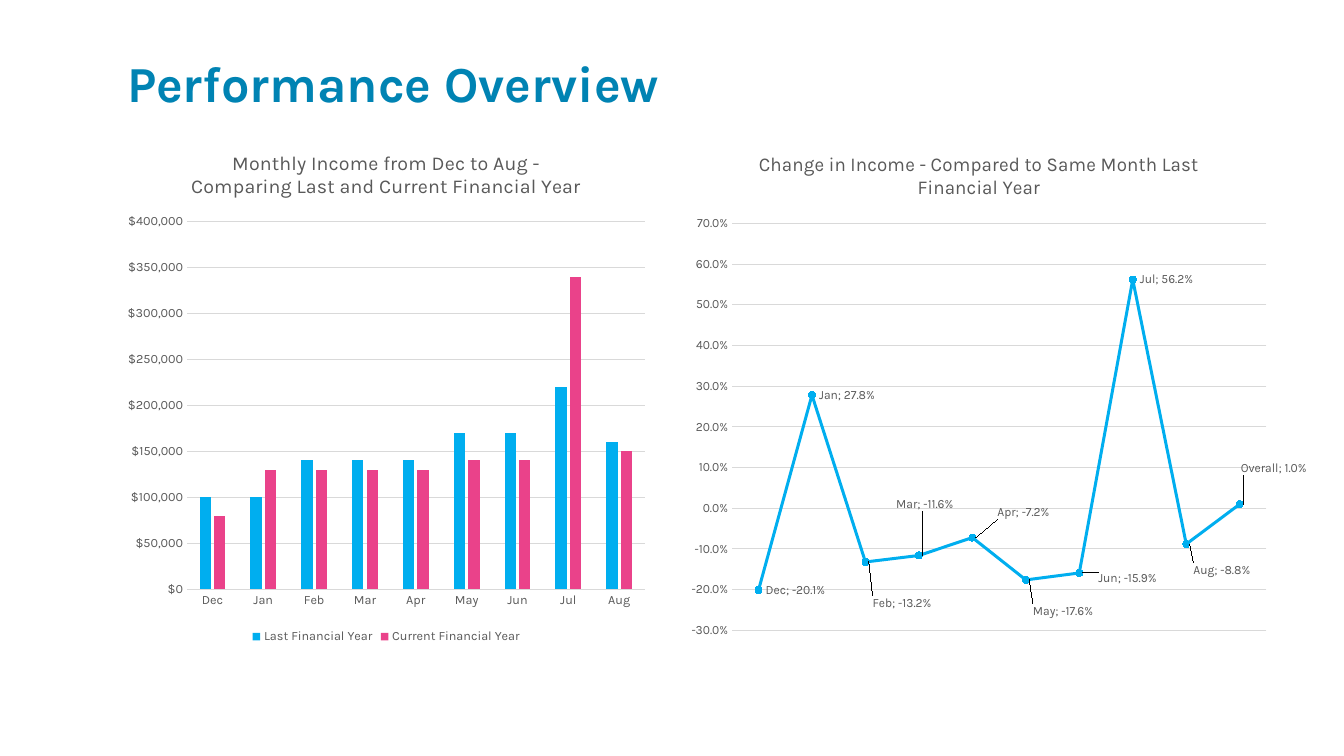
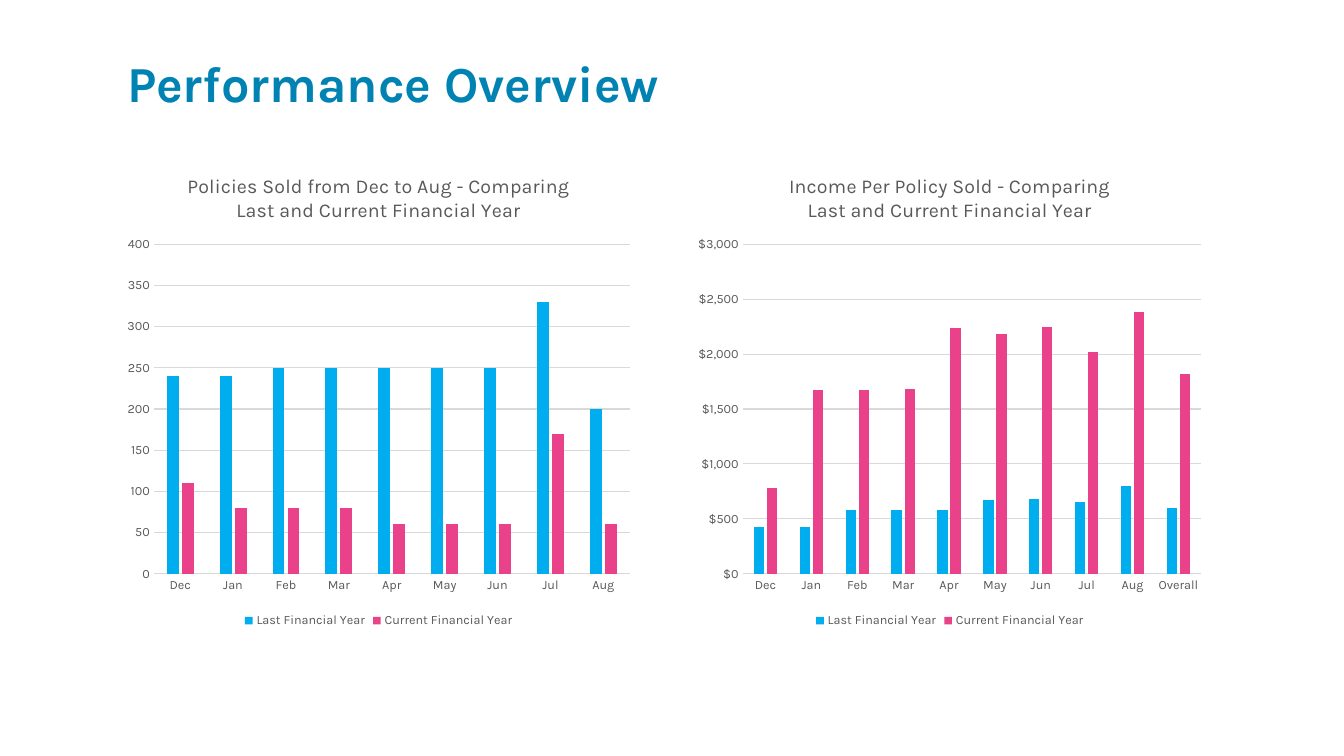
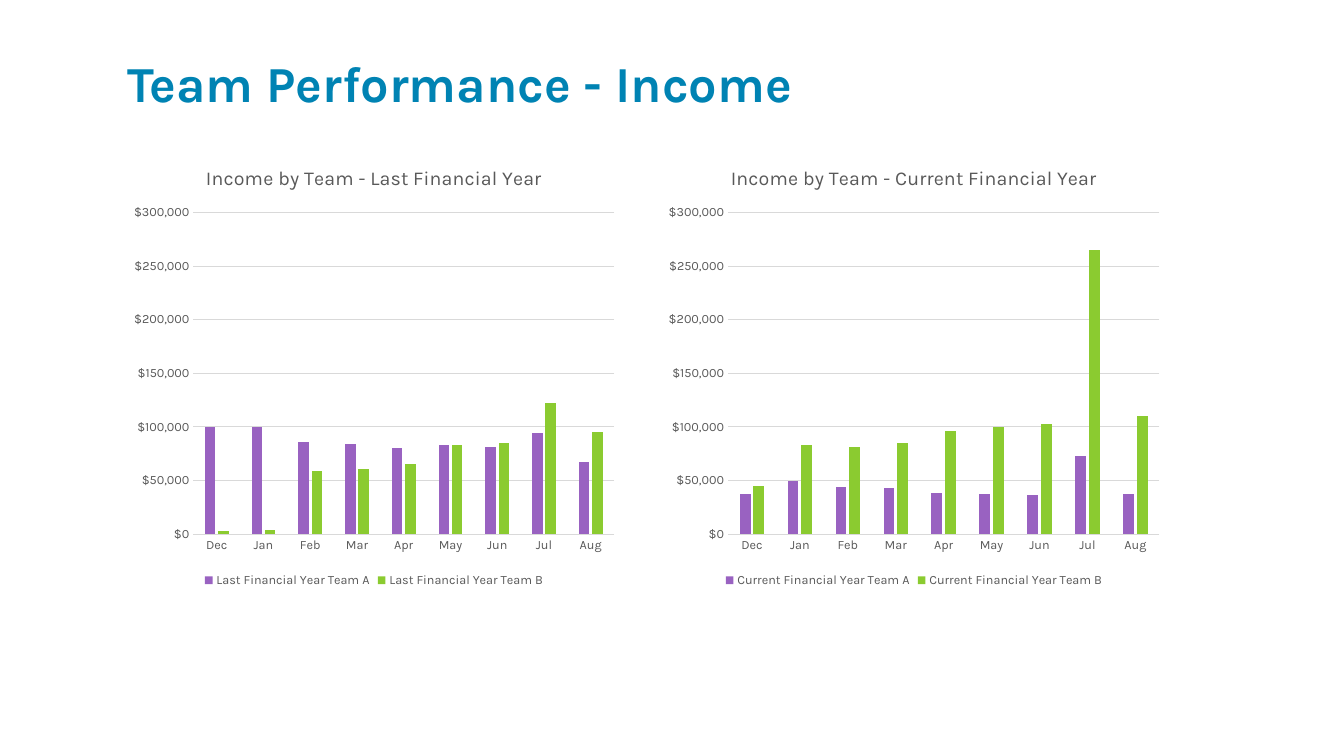
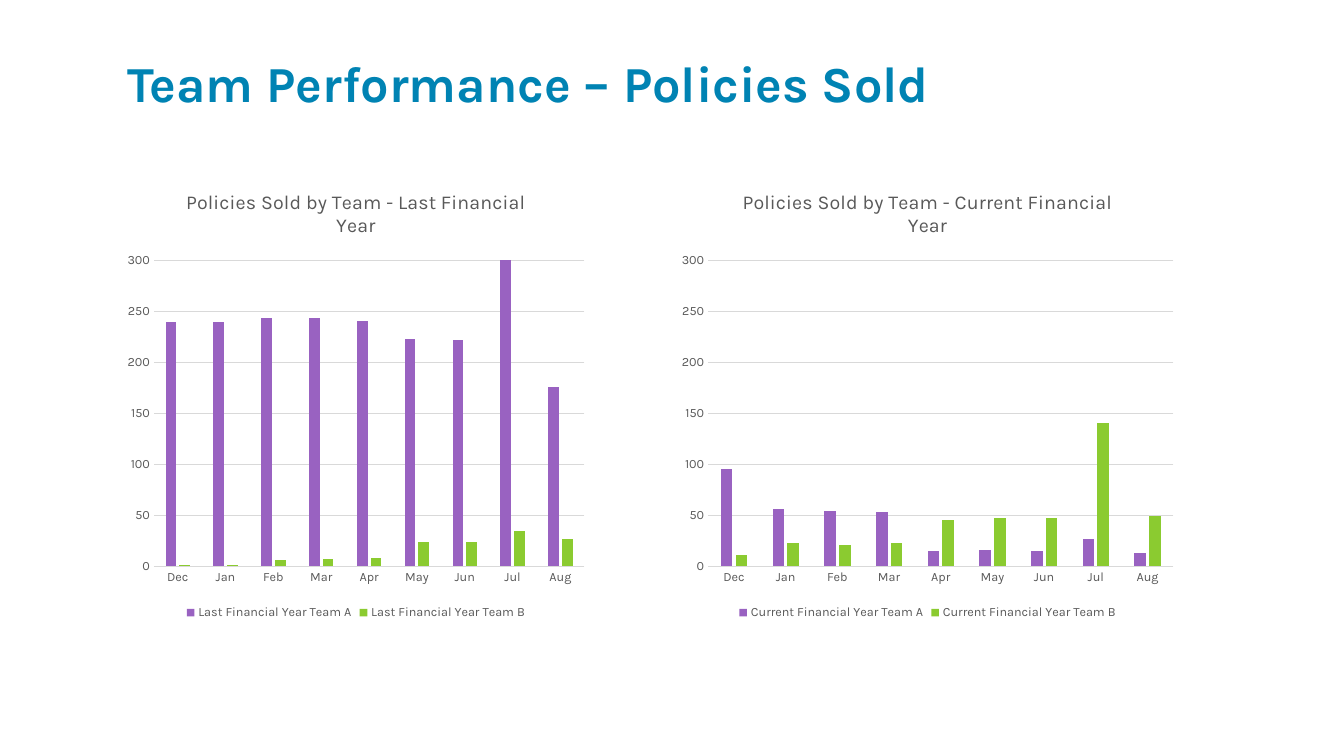
import pptx
import pptx.chart.data
import pptx.dml.color
import pptx.enum.chart
import pptx.enum.text
import pptx.oxml
import pptx.oxml.ns
import pptx.util

Inches, Pt = pptx.util.Inches, pptx.util.Pt
XL = pptx.enum.chart

# Shared style
FONT = "Karla"
COLORS = {
    "title": "0083B3",
    "text": "595959",
    "grid": "D9D9D9",
    "last": "00AEEF",
    "current": "EA428A",
    "team_a": "9962C1",
    "team_b": "8BCB30",
}
TITLE_BOX = (1.16, 0.58, 9.5, 0.73)
DOLLARS, COUNT, PERCENT = "[$$-4809]#,##0", "#,##0", "0.0%"

# Content
MONTHS = ["Dec", "Jan", "Feb", "Mar", "Apr", "May", "Jun", "Jul", "Aug"]
MONTHS_OVERALL = MONTHS + ["Overall"]
YEARS = [("Last Financial Year", "last"), ("Current Financial Year", "current")]
LAST_TEAMS, CURRENT_TEAMS = (
    [(f"{year} Team A", "team_a"), (f"{year} Team B", "team_b")] for year, _ in YEARS
)

# Label shifts by point, as fractions of the chart's width and height
LABEL_SHIFTS = {
    2: (0, 0.08), 3: (-0.05, -0.1), 4: (0.03, -0.05), 5: (0, 0.06),
    6: (0.02, 0.01), 8: (0, 0.05), 9: (-0.01, -0.07),
}

# scale is minimum, maximum, major unit
SLIDES = [
    ("Performance Overview", [
        dict(title="Monthly Income from Dec to Aug -\nComparing Last and Current Financial Year",
             box=(1.16, 1.31, 5.34, 5.12), months=MONTHS, series=YEARS,
             format=DOLLARS, scale=(0, 400000, 50000),
             values=[[100000, 100000, 140000, 140000, 140000, 170000, 170000, 220000, 160000],
                     [80000, 130000, 130000, 130000, 130000, 140000, 140000, 340000, 150000]]),
        dict(title="Change in Income - Compared to Same Month Last Financial Year",
             box=(6.74, 1.31, 6.22, 5.12), months=MONTHS_OVERALL, line=True,
             series=[("Change in Income - Compared to Same Month Last Financial Year", "last")],
             format=PERCENT, scale=(-0.3, 0.7, 0.1),
             values=[[-0.201, 0.278, -0.132, -0.116, -0.072, -0.176, -0.159, 0.562, -0.088, 0.01]]),
    ]),
    ("Performance Overview", [
        dict(title="Policies Sold from Dec to Aug - Comparing\nLast and Current Financial Year",
             box=(1.16, 1.55, 5.19, 4.72), months=MONTHS, series=YEARS,
             format="0", scale=(0, 400, 50),
             values=[[240, 240, 250, 250, 250, 250, 250, 330, 200],
                     [110, 80, 80, 80, 60, 60, 60, 170, 60]]),
        dict(title="Income Per Policy Sold - Comparing\nLast and Current Financial Year",
             box=(6.82, 1.55, 5.2, 4.72), months=MONTHS_OVERALL, series=YEARS,
             format=DOLLARS, scale=(0, 3000, 500),
             values=[[430, 430, 580, 580, 580, 670, 680, 650, 800, 600],
                     [780, 1670, 1670, 1680, 2240, 2180, 2250, 2020, 2380, 1820]]),
    ]),
    ("Team Performance - Income", [
        dict(title="Income by Team - Last Financial Year",
             box=(1.23, 1.46, 4.96, 4.41), months=MONTHS, series=LAST_TEAMS,
             format=DOLLARS, scale=(0, 300000, 50000),
             values=[[100000, 100000, 86000, 84000, 80000, 83000, 81000, 94000, 67000],
                     [3000, 4000, 59000, 61000, 65000, 83000, 85000, 122000, 95000]]),
        dict(title="Income by Team - Current Financial Year",
             box=(6.53, 1.46, 5.07, 4.41), months=MONTHS, series=CURRENT_TEAMS,
             format=DOLLARS, scale=(0, 300000, 50000),
             values=[[37000, 49000, 44000, 43000, 38000, 37000, 36000, 73000, 37000],
                     [45000, 83000, 81000, 85000, 96000, 100000, 103000, 265000, 110000]]),
    ]),
    ("Team Performance – Policies Sold", [
        dict(title="Policies Sold by Team - Last Financial Year",
             box=(1.17, 1.7, 4.72, 4.49), months=MONTHS, series=LAST_TEAMS,
             format=COUNT, scale=(0, 300, 50),
             values=[[239, 239, 243, 243, 240, 223, 222, 300, 176],
                     [1, 1, 6, 7, 8, 24, 24, 34, 27]]),
        dict(title="Policies Sold by Team - Current Financial Year",
             box=(6.66, 1.7, 5.08, 4.49), months=MONTHS, series=CURRENT_TEAMS,
             format=COUNT, scale=(0, 300, 50),
             values=[[95, 56, 54, 53, 15, 16, 15, 27, 13],
                     [11, 23, 21, 23, 45, 47, 47, 140, 49]]),
    ]),
]


def rgb(name):
    return pptx.dml.color.RGBColor.from_string(COLORS[name])


def style_font(font, size, color="text", bold=False):
    font.name, font.size, font.bold = FONT, Pt(size), bold
    font.color.rgb = rgb(color)


def style_line(line, color, width):
    line.color.rgb = rgb(color)
    line.width = Pt(width)


def add_title(slide, text):
    title = slide.shapes.title
    title.left, title.top, title.width, title.height = map(Inches, TITLE_BOX)
    frame = title.text_frame
    frame.text = text
    frame.word_wrap = True
    frame.auto_size = pptx.enum.text.MSO_AUTO_SIZE.NONE
    frame.vertical_anchor = pptx.enum.text.MSO_ANCHOR.TOP
    heading = frame.paragraphs[0]
    heading.alignment = pptx.enum.text.PP_ALIGN.LEFT
    heading.line_spacing = 0.8
    style_font(heading.runs[0].font, 36, "title", bold=True)


def style_axes(chart, content):
    values = chart.value_axis
    values.minimum_scale, values.maximum_scale, values.major_unit = content["scale"]
    values.format.line.fill.background()
    values.has_major_gridlines = True
    style_line(values.major_gridlines.format.line, "grid", 0.75)
    values.tick_labels.number_format = content["format"]
    values.tick_labels.number_format_is_linked = False
    style_line(chart.category_axis.format.line, "grid", 0.75)
    for axis in (values, chart.category_axis):
        axis.major_tick_mark = axis.minor_tick_mark = XL.XL_TICK_MARK.NONE
        style_font(axis.tick_labels.font, 9)


def style_columns(chart, content):
    plot = chart.plots[0]
    plot.gap_width, plot.overlap = 219, -27
    for series, (_, color) in zip(plot.series, content["series"]):
        series.format.fill.solid()
        series.format.fill.fore_color.rgb = rgb(color)
        series.invert_if_negative = False
    chart.has_legend = True
    chart.legend.position = XL.XL_LEGEND_POSITION.BOTTOM
    chart.legend.include_in_layout = False
    style_font(chart.legend.font, 9)


def style_change_line(chart, content):
    chart.category_axis.visible = False
    chart.has_legend = False
    change = chart.plots[0].series[0]
    color = content["series"][0][1]
    change.smooth = False
    style_line(change.format.line, color, 2.25)
    change.marker.style, change.marker.size = XL.XL_MARKER_STYLE.CIRCLE, 5
    change.marker.format.fill.solid()
    change.marker.format.fill.fore_color.rgb = rgb(color)
    style_line(change.marker.format.line, color, 0.75)

    labels = change.data_labels
    labels.show_value = labels.show_category_name = True
    labels.number_format, labels.number_format_is_linked = content["format"], False
    labels.position = XL.XL_LABEL_POSITION.RIGHT
    style_font(labels.font, 9)
    for point in LABEL_SHIFTS:
        label = change.points[point].data_label
        label.position = XL.XL_LABEL_POSITION.RIGHT
        style_font(label.font, 9)

    # Move single labels away from the line
    qn = pptx.oxml.ns.qn
    for label in labels._element.findall(qn("c:dLbl")):
        index = label.find(qn("c:idx"))
        x, y = LABEL_SHIFTS[int(index.get("val"))]
        label.find(qn("c:showCatName")).set("val", "1")
        index.addnext(pptx.oxml.parse_xml(
            f'<c:layout {pptx.oxml.ns.nsdecls("c")}><c:manualLayout>'
            f'<c:x val="{x}"/><c:y val="{y}"/></c:manualLayout></c:layout>'))


def add_chart(slide, content):
    data = pptx.chart.data.CategoryChartData(number_format=content["format"])
    data.categories = content["months"]
    for (name, _), values in zip(content["series"], content["values"]):
        data.add_series(name, values)
    is_line = content.get("line", False)
    kind = XL.XL_CHART_TYPE.LINE_MARKERS if is_line else XL.XL_CHART_TYPE.COLUMN_CLUSTERED
    chart = slide.shapes.add_chart(kind, *map(Inches, content["box"]), data).chart
    chart.font.name, chart.font.size = FONT, Pt(10)
    chart.plots[0].vary_by_categories = False

    chart.has_title = True
    chart.chart_title.include_in_layout = False
    chart.chart_title.text_frame.text = content["title"]
    for paragraph in chart.chart_title.text_frame.paragraphs:
        style_font(paragraph.font, 14)
        style_font(paragraph.runs[0].font, 14)

    style_axes(chart, content)
    if is_line:
        style_change_line(chart, content)
    else:
        style_columns(chart, content)


def main():
    deck = pptx.Presentation()
    deck.slide_width, deck.slide_height = Inches(13.33), Inches(7.5)
    for title, charts in SLIDES:
        slide = deck.slides.add_slide(deck.slide_layouts[5])
        add_title(slide, title)
        for content in charts:
            add_chart(slide, content)
    deck.save("out.pptx")


if __name__ == "__main__":
    main()
